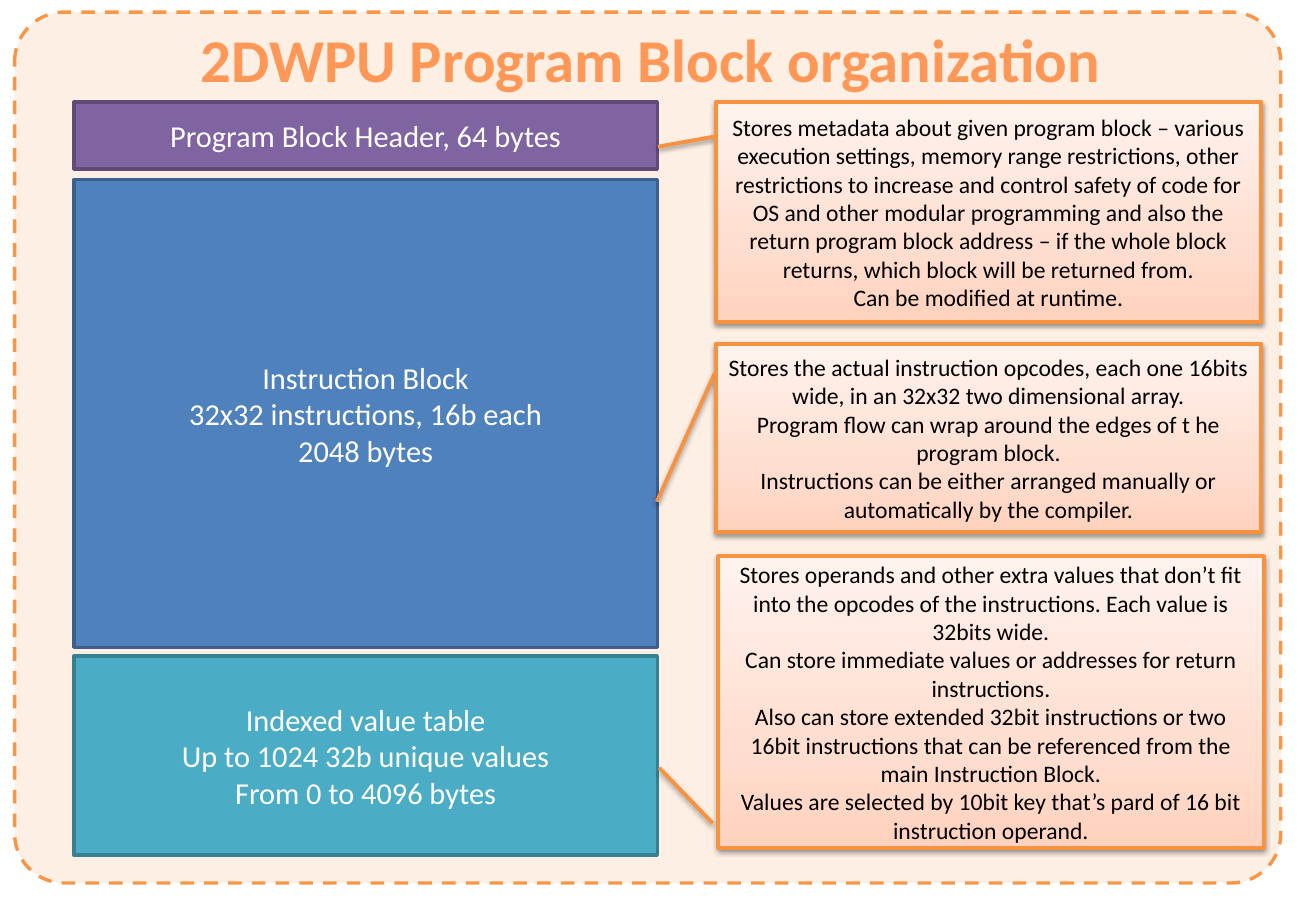
from pptx import Presentation
from pptx.dml.color import RGBColor
from pptx.enum.dml import MSO_LINE
from pptx.enum.shapes import MSO_SHAPE
from pptx.enum.text import MSO_ANCHOR, MSO_AUTO_SIZE, PP_ALIGN
from pptx.oxml import parse_xml
from pptx.oxml.ns import nsdecls, qn
from pptx.util import Inches, Pt

RECT, ROUND = MSO_SHAPE.RECTANGLE, MSO_SHAPE.ROUNDED_RECTANGLE
CALLOUT = MSO_SHAPE.LINE_CALLOUT_1
CENTER, MIDDLE, DASH = PP_ALIGN.CENTER, MSO_ANCHOR.MIDDLE, MSO_LINE.DASH
FIT = MSO_AUTO_SIZE.SHAPE_TO_FIT_TEXT

NOTE_STOPS = [(0, "FFD2BD"), (35, "FFDED0"), (100, "FFF2ED")]

# top, height, fill, line, lines of text
BLOCKS = [
    (0.84, 0.55, "8064A2", "5F4A78", ["Program Block Header, 64 bytes"]),
    (1.48, 3.85, "4F81BD", "3A5F8C",
     ["Instruction Block", "32x32 instructions, 16b each", "2048 bytes"]),
    (5.4, 1.64, "4BACC6", "377F92",
     ["Indexed value table", "Up to 1024 32b unique values",
      "From 0 to 4096 bytes"]),
]

# left, top, height, leader (y, x of start, y, x of end), paragraphs
NOTES = [
    (5.89, 0.84, 1.81, (0.157, -0.002, 0.203, -0.106),
     ["Stores metadata about given program block – various execution settings, "
      "memory range restrictions, other restrictions to increase and control "
      "safety of code for OS and other modular programming and also the return "
      "program block address – if the whole block returns, which block will be "
      "returned from.",
      "Can be modified at runtime."]),
    (5.89, 2.83, 1.55, (0.157, -0.002, 0.839, -0.108),
     ["Stores the actual instruction opcodes, each one 16bits wide, in an 32x32 "
      "two dimensional array.",
      "Program flow can wrap around the edges of t he program block.",
      "Instructions can be either arranged manually or automatically by the "
      "compiler."]),
    (5.91, 4.58, 2.4, (0.916, -0.01, 0.726, -0.108),
     ["Stores operands and other extra values that don’t fit into the opcodes of "
      "the instructions. Each value is 32bits wide.",
      "Can store immediate values or addresses for return instructions.",
      "Also can store extended 32bit instructions or two 16bit instructions that "
      "can be referenced from the main Instruction Block.",
      "Values are selected by 10bit key that’s pard of 16 bit instruction "
      "operand."]),
]


def rgb(value):
    """Turn a hex string into a colour."""
    return RGBColor.from_string(value)


def write(tf, paragraphs, size, color, bold=False):
    """Fill a text frame with centred paragraphs."""
    for i, text in enumerate(paragraphs):
        p = tf.paragraphs[0] if i == 0 else tf.add_paragraph()
        p.alignment = CENTER
        r = p.add_run()
        r.text = text
        font = {"name": "Calibri", "size": Pt(size), "bold": bold}
        for name, value in font.items():
            setattr(r.font, name, value)
        r.font.color.rgb = rgb(color)


def add_box(s, kind, box, line, width, fill=None):
    """Add a shape without shadow, outlined and optionally filled."""
    sp = s.shapes.add_shape(kind, *map(Inches, box))
    sp.shadow.inherit = False
    sp.line.color.rgb = rgb(line)
    sp.line.width = Pt(width)
    if fill:
        sp.fill.solid()
        sp.fill.fore_color.rgb = rgb(fill)
    sp.text_frame.word_wrap = True
    sp.text_frame.vertical_anchor = MIDDLE
    return sp


def add_panel(s, box):
    """Add the translucent dashed panel behind everything."""
    sp = add_box(s, ROUND, box, "F79646", 2, "FDEADA")
    sp.adjustments[0] = 0.057
    sp.line.dash_style = DASH
    color = sp._element.spPr.find(qn("a:solidFill"))[0]
    color.append(parse_xml(f'<a:alpha {nsdecls("a")} val="74000"/>'))


def add_title(s, box, text):
    """Add the heading."""
    tf = s.shapes.add_textbox(*map(Inches, box)).text_frame
    tf.word_wrap = False
    tf.auto_size = FIT
    write(tf, [text], 36, "FF9856", bold=True)


def add_blocks(s, left, width):
    """Stack the memory blocks in one column."""
    for top, height, fill, line, text in BLOCKS:
        sp = add_box(s, RECT, (left, top, width, height), line, 2, fill)
        write(sp.text_frame, text, 18, "FFFFFF")


def add_note(s, box, leader, text):
    """Add a callout with a gradient, a soft shadow and a leader line."""
    sp = add_box(s, CALLOUT, box, "F69240", 2.25)
    for i, value in enumerate(leader):
        sp.adjustments[i] = value
    stops = "".join(f'<a:gs pos="{pos * 1000}"><a:srgbClr val="{color}"/></a:gs>'
                    for pos, color in NOTE_STOPS)
    spPr = sp._element.spPr
    spPr.find(qn("a:prstGeom")).addnext(parse_xml(
        f'<a:gradFill {nsdecls("a")} rotWithShape="1"><a:gsLst>{stops}</a:gsLst>'
        '<a:lin ang="16200000" scaled="0"/></a:gradFill>'))
    spPr.find(qn("a:effectLst")).append(parse_xml(
        f'<a:outerShdw {nsdecls("a")} blurRad="{Pt(3.1)}" dist="{Pt(1.6)}" '
        'dir="5400000" rotWithShape="0"><a:srgbClr val="000000">'
        '<a:alpha val="38000"/></a:srgbClr></a:outerShdw>'))
    write(sp.text_frame, text, 14, "000000")


def add_notes(s, width):
    """Add the explanations beside the blocks."""
    for left, top, height, leader, text in NOTES:
        add_note(s, (left, top, width, height), leader, text)


def main():
    """Build and save the slide."""
    prs = Presentation()
    prs.slide_width, prs.slide_height = Inches(10.83), Inches(7.5)
    s = prs.slides.add_slide(prs.slide_layouts[6])
    add_panel(s, (0.12, 0.1, 10.42, 7.17))
    add_blocks(s, 0.61, 4.8)
    add_notes(s, 4.49)
    add_title(s, (1.4, 0.13, 7.91, 0.71), "2DWPU Program Block organization")
    prs.save("out.pptx")


main()
